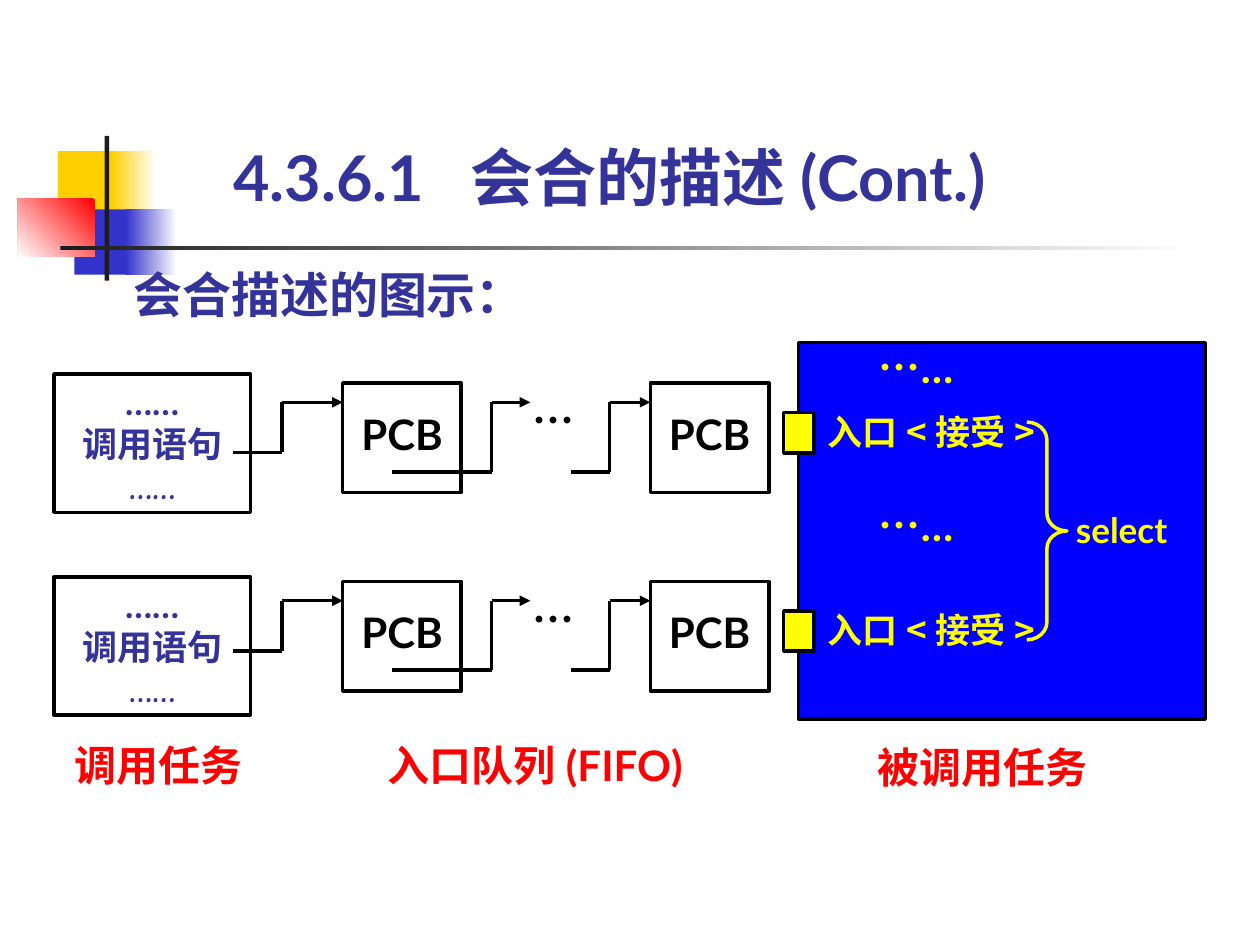
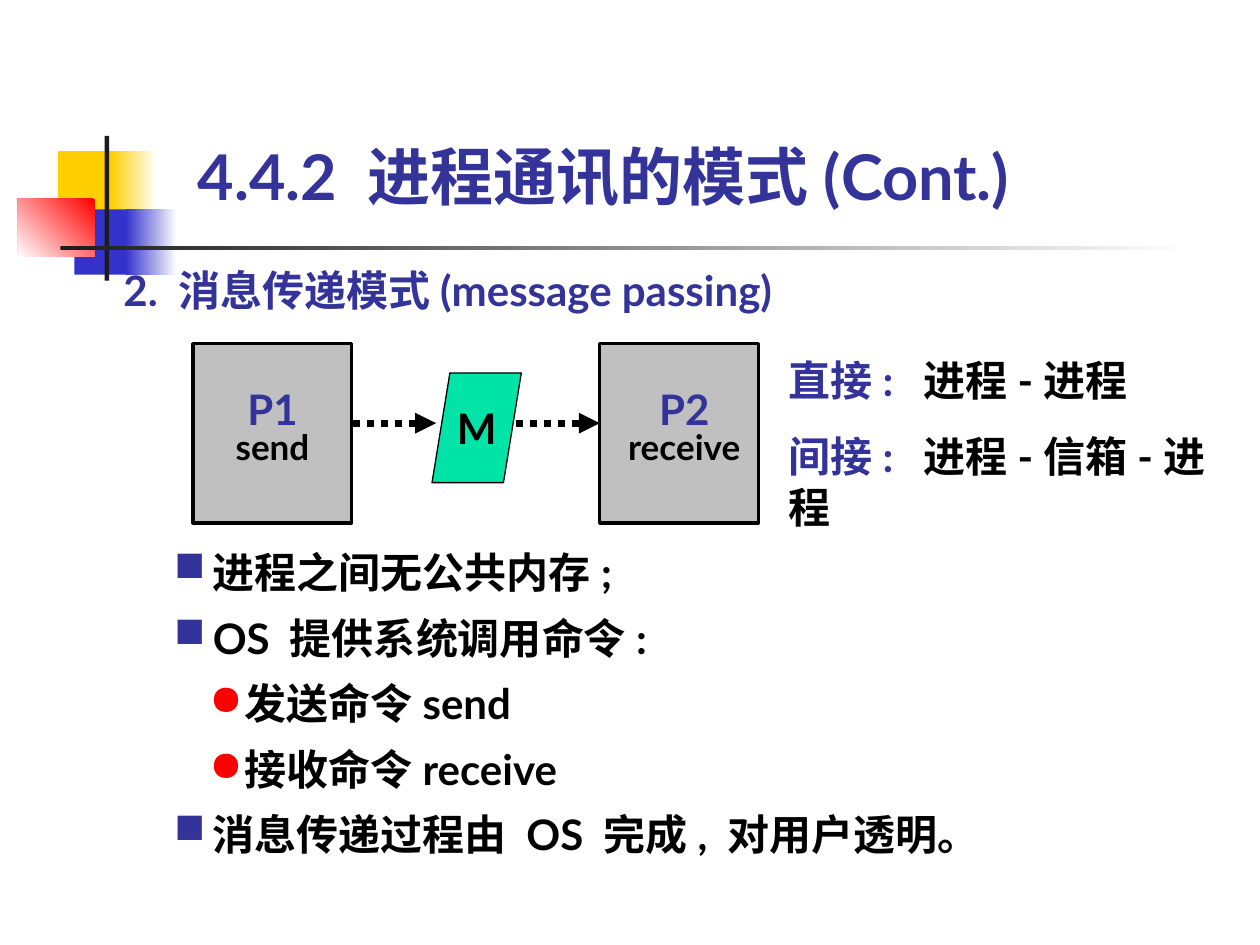
import pptx
import pptx.dml.color
import pptx.enum.dml
import pptx.enum.shapes
import pptx.enum.text
import pptx.oxml.ns
import pptx.util
from lxml import etree

Cm = pptx.util.Cm
Pt = pptx.util.Pt
RGBColor = pptx.dml.color.RGBColor
MSO_SHAPE = pptx.enum.shapes.MSO_SHAPE
PP_ALIGN = pptx.enum.text.PP_ALIGN
ANCHOR = pptx.enum.text.MSO_ANCHOR
qn = pptx.oxml.ns.qn

INK = RGBColor(0x33, 0x33, 0x99)
BLUE = RGBColor(0x33, 0x33, 0xCC)
PANEL = RGBColor(0x00, 0x00, 0xFF)
GOLD = RGBColor(0xFF, 0xCF, 0x01)
YELLOW = RGBColor(0xFF, 0xFF, 0x00)
RED = RGBColor(0xFF, 0x00, 0x00)
GREEN = RGBColor(0x00, 0xE4, 0xA8)
GREY = RGBColor(0xC0, 0xC0, 0xC0)
DARK = RGBColor(0x1C, 0x1C, 0x1C)
BLACK = RGBColor(0x00, 0x00, 0x00)
WHITE = RGBColor(0xFF, 0xFF, 0xFF)
LATO, COMIC, CJK = "Lato", "Comic Neue", "Noto Sans CJK SC"


def add_box(s, at, paras=(), kind=None, fill=None, line=None, width=2,
            align=PP_ALIGN.LEFT, anchor=ANCHOR.TOP, top=0, spacing=None, tab=None):
    """Add a text box, or a shape if kind is given; runs are (text, size, colour, font)."""
    box = [Cm(v) for v in at]
    if kind is None:
        sp = s.shapes.add_textbox(*box)
    else:
        sp = s.shapes.add_shape(kind, *box)
        sp.shadow.inherit = False
        if fill is None:
            sp.fill.background()
        else:
            sp.fill.solid()
            sp.fill.fore_color.rgb = fill
        if line is None:
            sp.line.fill.background()
        else:
            sp.line.color.rgb = line
            sp.line.width = Pt(width)
    tf = sp.text_frame
    tf.word_wrap = True
    tf.vertical_anchor = anchor
    tf.margin_left = tf.margin_right = tf.margin_bottom = 0
    tf.margin_top = Cm(top)
    for i, runs in enumerate(paras):
        p = tf.add_paragraph() if i else tf.paragraphs[0]
        p.alignment = align
        if spacing:
            p.line_spacing = spacing
        if tab:
            tabs = etree.SubElement(p._p.get_or_add_pPr(), qn("a:tabLst"))
            etree.SubElement(tabs, qn("a:tab"), pos=str(Cm(tab)), algn="l")
        for text, size, colour, font in runs:
            r = p.add_run()
            r.text = text
            r.font.size = Pt(size)
            r.font.bold = True
            r.font.color.rgb = colour
            r.font.name = font
            east = font if "…" in text else CJK
            etree.SubElement(r._r.get_or_add_rPr(), qn("a:ea"), typeface=east)
    return sp


def add_line(s, x1, y1, x2, y2, arrow=False, width=2, dash=None):
    c = s.shapes.add_connector(pptx.enum.shapes.MSO_CONNECTOR.STRAIGHT,
                               Cm(x1), Cm(y1), Cm(x2), Cm(y2))
    c.line.color.rgb = BLACK
    c.line.width = Pt(width)
    if dash:
        c.line.dash_style = dash
    if arrow:
        etree.SubElement(c.line._get_or_add_ln(), qn("a:tailEnd"), type="triangle")
    etree.SubElement(c._element.spPr, qn("a:effectLst"))


prs = pptx.Presentation()
prs.slide_width, prs.slide_height = Cm(25.4), Cm(19.05)

# Band and title on every slide
BAND = [  # position, colour, gradient end colour and angle
    ((1.17, 3.05, 1.22, 1.32), GOLD, None),
    ((2.24, 3.05, 0.91, 1.32), GOLD, 0),
    ((1.5, 4.22, 1.17, 1.32), BLUE, None),
    ((2.54, 4.22, 1.02, 1.32), BLUE, 0),
    ((0.36, 4.01, 1.55, 1.17), RED, 225),
    ((2.11, 2.74, 0.09, 2.92), DARK, None),
    ((1.22, 4.95, 22.86, 0.09), DARK, 0),
]
TITLES = [
    ("4.3.6.1\t会合的描述(Cont.)", (4.7, 2.79, 16.79, 1.52)),
    ("4.4.2 进程通讯的模式(Cont.)", (3.99, 2.77, 17.7, 1.52)),
]
slides = []
for title, at in TITLES:
    s = prs.slides.add_slide(prs.slide_layouts[6])
    for place, colour, angle in BAND:
        sp = add_box(s, place, kind=MSO_SHAPE.RECTANGLE, fill=colour)
        if angle is not None:
            sp.fill.gradient()
            sp.fill.gradient_angle = angle
            for stop, rgb in zip(sp.fill.gradient_stops, (colour, WHITE)):
                stop.color.rgb = rgb
    add_box(s, at, [[(title, 36, INK, LATO)]], anchor=ANCHOR.BOTTOM, tab=4.78)
    slides.append(s)

# Slide 1: rendezvous diagram
s = slides[0]
add_box(s, (2.69, 5.33, 9.4, 1.19), [[("会合描述的图示：", 28, INK, LATO)]],
        anchor=ANCHOR.BOTTOM)
add_box(s, (16.1, 6.91, 8.2, 7.59), kind=MSO_SHAPE.RECTANGLE, fill=PANEL, line=BLACK)
for y in (7.32, 10.52):
    add_box(s, (17.02, y, 2.9, 0.51),
            [[("…", 24, YELLOW, CJK), ("…", 24, YELLOW, LATO)]],
            align=PP_ALIGN.CENTER, spacing=0.5)

call = [[("……", 20, INK, LATO)], [("调用语句", 20, INK, COMIC)], [("……", 20, INK, COMIC)]]
# start, bend and end of each link, with the drop of its start below the queue top
LINKS = [(4.7, 5.69, 6.91, 1.4), (7.9, 9.91, 10.69, 1.79), (11.51, 12.29, 13.11, 1.79)]
for caller_y, y in ((7.54, 7.72), (11.63, 11.72)):
    add_box(s, (1.09, caller_y, 3.96, 2.79), call, kind=MSO_SHAPE.RECTANGLE,
            line=BLACK, align=PP_ALIGN.CENTER, anchor=ANCHOR.MIDDLE)
    for x in (6.91, 13.11):
        add_box(s, (x, y, 2.39, 2.21), [[("PCB", 24, BLACK, LATO)]],
                kind=MSO_SHAPE.RECTANGLE, line=BLACK, align=PP_ALIGN.CENTER, top=0.51)
    for start, bend, end, drop in LINKS:
        add_line(s, start, y + drop, bend, y + drop)
        add_line(s, bend, y + drop, bend, y + 0.39)
        add_line(s, bend, y + 0.39, end, y + 0.39, arrow=True)
    add_box(s, (10.31, y + 0.68, 1.7, 0.51), [[("…", 24, BLACK, CJK)]],
            align=PP_ALIGN.CENTER, spacing=0.5)
    add_box(s, (15.8, y + 0.6, 0.61, 0.81), kind=MSO_SHAPE.RECTANGLE,
            fill=YELLOW, line=BLACK)
    add_box(s, (16.69, y + 0.55, 4.6, 0.84), [[("入口<接受>", 20, YELLOW, CJK)]])

brace = add_box(s, (20.7, 8.51, 0.81, 4.39), kind=MSO_SHAPE.RIGHT_BRACE, line=YELLOW)
brace.adjustments[0] = 0.44
add_box(s, (21.69, 10.26, 2.41, 0.84), [[("select", 20, YELLOW, LATO)]])
for text, x, y, w in (("调用任务", 1.5, 14.91, 3.61), ("入口队列(FIFO)", 7.82, 14.91, 6.86),
                      ("被调用任务", 17.7, 14.94, 4.39)):
    add_box(s, (x, y, w, 1.02), [[(text, 24, RED, LATO)]])

# Slide 2: message passing
s = slides[1]
sp = add_box(s, (15.9, 7.14, 8.99, 3.58),
             [[("直接:\t", 24, INK, LATO), ("进程-进程", 24, BLACK, LATO)],
              [("间接:\t", 24, INK, LATO), ("进程-信箱-进程", 24, BLACK, LATO)]], tab=2.72)
sp.text_frame.paragraphs[1].space_before = Pt(15)
add_box(s, (2.49, 5.33, 14.61, 1.02),
        [[("2. 消息传递模式(message passing)", 24, INK, LATO)]])
for x, text_x, text_w, name, action in ((3.89, 4.29, 2.41, "P1", "send"),
                                        (12.09, 12.5, 2.59, "P2", "receive")):
    add_box(s, (x, 6.93, 3.2, 3.61), kind=MSO_SHAPE.RECTANGLE, fill=GREY, line=BLACK)
    add_box(s, (text_x, 7.92, text_w, 1.5),
            [[(name, 24, INK, LATO)], [(action, 20, BLACK, LATO)]],
            align=PP_ALIGN.CENTER, spacing=0.8)
for x in (7.11, 10.41):
    add_line(s, x, 8.53, x + 1.68, 8.53, arrow=True, width=4,
             dash=pptx.enum.dml.MSO_LINE.ROUND_DOT)
add_box(s, (8.71, 7.52, 1.8, 2.21), [[("M", 24, BLACK, LATO)]],
        kind=MSO_SHAPE.FLOWCHART_DATA, fill=GREEN, line=BLACK, width=0.75,
        align=PP_ALIGN.CENTER, anchor=ANCHOR.MIDDLE)

POINTS = [(0, "进程之间无公共内存;"), (0, "OS 提供系统调用命令:"), (1, "发送命令send"),
          (1, "接收命令receive"), (0, "消息传递过程由 OS 完成, 对用户透明。")]
BULLETS = [("■", INK, 0.78, 0.78), ("●", RED, 1.42, 0.71)]  # char, colour, margin, hang
sp = add_box(s, (3.51, 10.72, 16.41, 6.6),
             [[(text, 24, BLACK, LATO)] for _, text in POINTS], spacing=1.3)
for (level, _), p in zip(POINTS, sp.text_frame.paragraphs):
    char, colour, margin, hang = BULLETS[level]
    p.level = level
    pPr = p._p.get_or_add_pPr()
    pPr.set("marL", str(Cm(margin)))
    pPr.set("indent", str(-Cm(hang)))
    clr = etree.SubElement(pPr, qn("a:buClr"))
    etree.SubElement(clr, qn("a:srgbClr"), val=str(colour))
    etree.SubElement(pPr, qn("a:buChar"), char=char)

prs.save("out.pptx")
